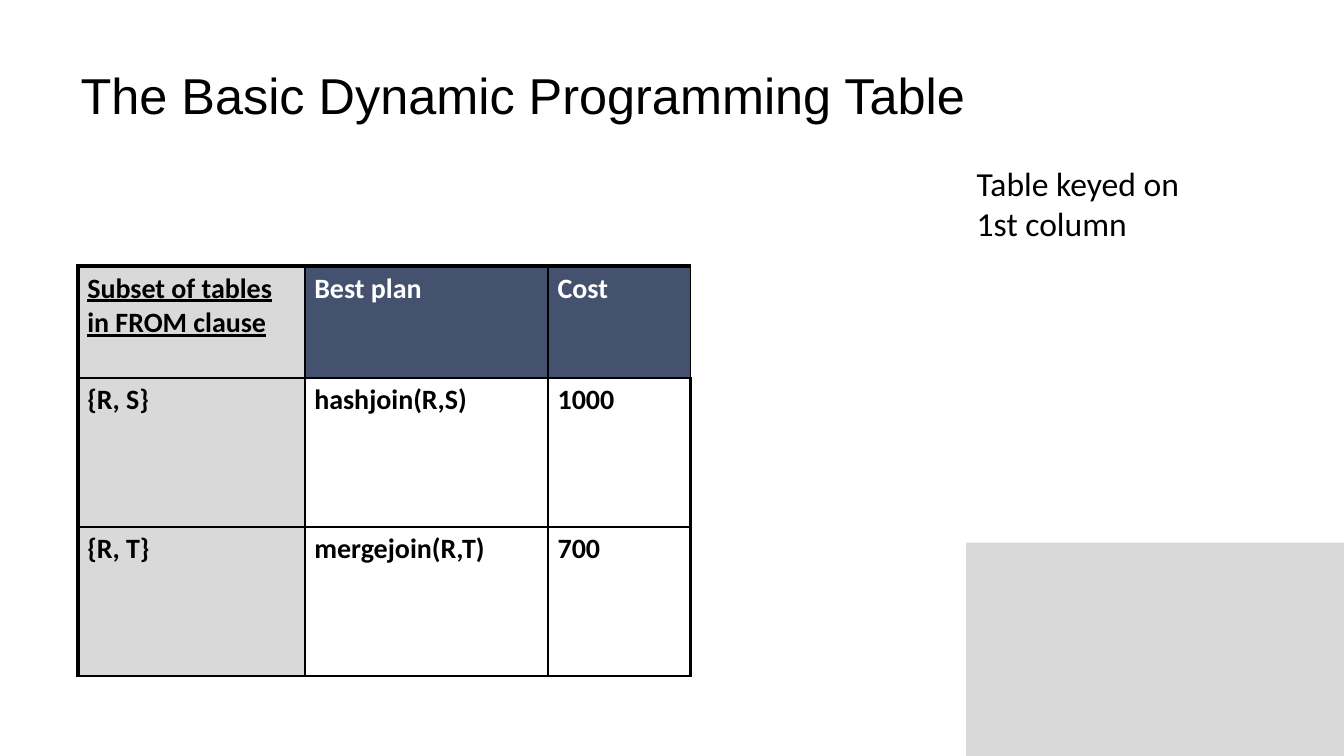
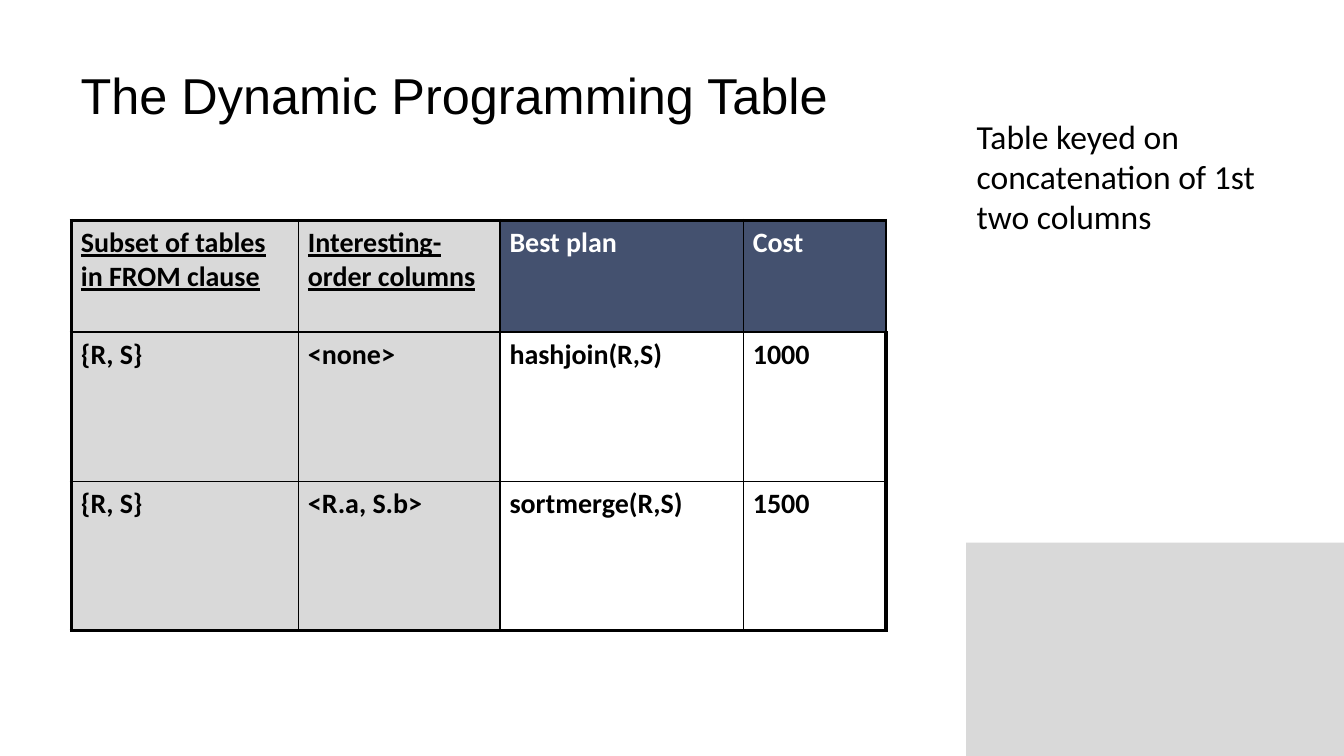
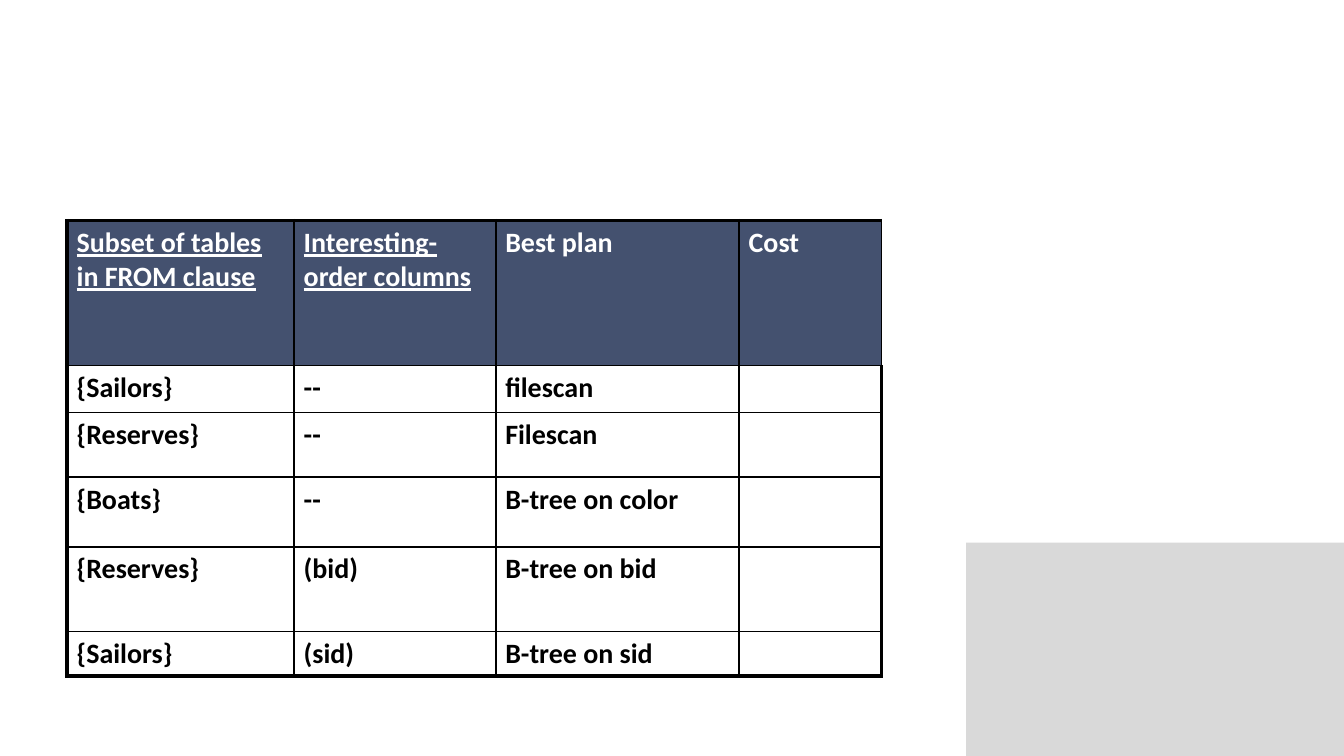
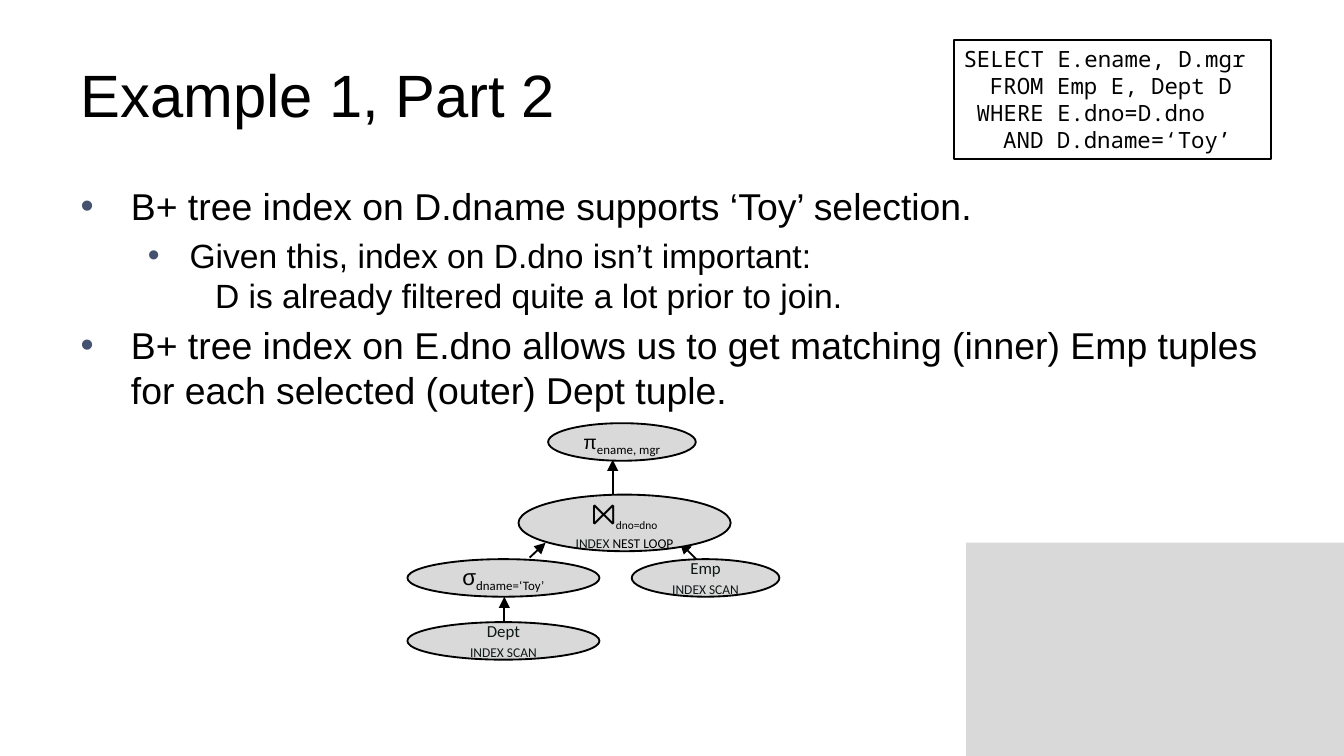
from copy import deepcopy
from lxml.etree import SubElement
from pptx import Presentation
from pptx.dml.color import RGBColor
from pptx.enum.shapes import MSO_CONNECTOR as Connector, MSO_SHAPE as Shape
from pptx.enum.text import MSO_ANCHOR as Anchor, MSO_AUTO_SIZE as AutoSize, PP_ALIGN as Align
from pptx.oxml.ns import qn
from pptx.util import Cm, Pt

# ---- Theme: colours, type, lines ----
BLACK, WHITE, GREY, NAVY, INK = "000000", "FFFFFF", "D9D9D9", "44516F", "0E1817"
THIN, THICK = 1, 2.25
THEME = {
    "title": {"name": "Arial", "size": 27, "color": BLACK},
    "big title": {"name": "Arial", "size": 32, "color": BLACK},
    "body": [{"name": "Arial", "size": 20, "color": BLACK},
             {"name": "Arial", "size": 18, "color": BLACK}],
    "note": {"name": "Calibri", "size": 18, "color": BLACK},
    "cell": {"name": "Calibri", "size": 15, "bold": True, "color": BLACK},
    "code": {"name": "Noto Sans Mono", "size": 12, "color": BLACK},
    "node": {"name": "Calibri", "size": 9, "color": INK},
    "caps": {"name": "Calibri", "size": 9, "color": INK, "cap": "small"},
    "sub": {"name": "Calibri", "size": 12, "color": BLACK, "baseline": "-25000"},
    "symbol": {"name": "Arial", "size": 12, "color": BLACK},
}
BULLET_INDENTS = [(0.95, -0.95), (2.06, -0.79)]
TIGHT = {"margin_left": 0.18, "margin_right": 0.18, "margin_top": 0.1, "margin_bottom": 0.1}

# ---- Layout, in centimetres ----
PAGE = (25.4, 14.29)
CORNER_BOX = (18.26, 10.26, 7.14, 4.03)
TITLE_BOX = (1.27, 0.58, 22.86, 2.39)
BODY_BOX = (1.27, 3.33, 22.86, 9.42)
CODE_BOX = (18.03, 0.76, 5.99, 2.24)
CODE_CHAR = 0.25
COLUMN_WIDTHS = {"Subset of tables in FROM clause": 4.29, "Interesting-order columns": 3.81,
                 "Best plan": 4.6, "Cost": 2.69}
SUBSET, ORDER, PLAN, COST = COLUMN_WIDTHS

# ---- Content ----
TABLE_PAGES = [
    {"title": "The Basic Dynamic Programming Table",
     "note": "Table keyed on\n1st column", "note box": (18.21, 2.95, 5.92, 1.8),
     "at": (1.47, 5.03), "heights": [2.11, 2.82, 2.82], "keys": 1, "shade keys": True,
     "bottom": THIN,
     "rows": [(SUBSET, PLAN, COST),
              ("{R, S}", "hashjoin(R,S)", "1000"),
              ("{R, T}", "mergejoin(R,T)", "700")]},
    {"title": "The Dynamic Programming Table",
     "note": "Table keyed on concatenation of 1st two columns",
     "note box": (18.21, 2.06, 5.92, 2.57),
     "at": (1.35, 4.17), "heights": [2.11, 2.82, 2.82], "keys": 2, "shade keys": True,
     "bottom": THICK,
     "rows": [(SUBSET, ORDER, PLAN, COST),
              ("{R, S}", "<none>", "hashjoin(R,S)", "1000"),
              ("{R, S}", "<R.a, S.b>", "sortmerge(R,S)", "1500")]},
    {"at": (1.27, 4.17), "heights": [2.74, 0.89, 1.22, 1.32, 1.6, 0.84], "keys": 2,
     "shade keys": False, "bottom": THICK,
     "rows": [(SUBSET, ORDER, PLAN, COST),
              ("{Sailors}", "--", "filescan", ""),
              ("{Reserves}", "--", "Filescan", ""),
              ("{Boats}", "--", "B-tree on color", ""),
              ("{Reserves}", "(bid)", "B-tree on bid", ""),
              ("{Sailors}", "(sid)", "B-tree on sid", "")]},
]
EXAMPLE_TITLE = "Example 1, Part 2"
BULLETS = [
    (0, "B+ tree index on D.dname supports ‘Toy’ selection."),
    (1, "Given this, index on D.dno isn’t important:\n"
        "\tD is already filtered quite a lot prior to join."),
    (0, "B+ tree index on E.dno allows us to get matching (inner) Emp tuples "
        "for each selected (outer) Dept tuple."),
]
QUERY = [(0, "SELECT E.ename, D.mgr"), (2, "FROM Emp E, Dept D"),
         (1, "WHERE E.dno=D.dno"), (3, "AND D.dname=‘Toy’")]
# Plan tree: box, then paragraphs of (text, style, changes)
NODES = [
    ((10.36, 8, 2.79, 0.71), [[("π", "symbol", {"size": 10.5}), ("ename, mgr", "sub", {})]]),
    ((11.94, 10.57, 2.79, 0.71), [[("Emp", "node", {})], [("index scan", "caps", {})]]),
    ((9.8, 9.35, 4.01, 1.07), [[("⨝", "symbol", {"size": 16}),
                                ("dno=dno\n", "sub", {"size": 10.5}),
                                ("index ", "caps", {}),
                                ("nest loop", "caps", {"color": BLACK})]]),
    ((7.7, 11.76, 3.63, 0.71), [[("Dept", "node", {})], [("index scan", "caps", {})]]),
    ((7.7, 10.57, 3.63, 0.71), [[("σ", "symbol", {}), ("dname=‘Toy’", "sub", {})]]),
]
ARROWS = [(11.58, 9.35, 11.58, 8.69), (13.16, 10.57, 12.85, 10.26),
          (10.01, 10.54, 10.31, 10.26), (9.53, 11.76, 9.53, 11.28)]


# ---- Text helpers ----
def style(font, look):
    for key, value in look.items():
        if key == "color":
            font.color.rgb = RGBColor.from_string(value)
        elif key in ("cap", "baseline"):
            font._element.set(key, value)
        else:
            setattr(font, key, Pt(value) if key == "size" else value)


def write(para, text, look):
    for number, line in enumerate(text.split("\n")):
        if number:
            para.add_line_break()
            para._p[-1].append(deepcopy(span._r.rPr))
        if line:
            span = para.add_run()
            span.text = line
            style(span.font, look)


def paragraphs(frame, items):
    for number, item in enumerate(items):
        yield (frame.add_paragraph() if number else frame.paragraphs[0]), item


def space_before(para, percent=20):
    para.space_before = Pt(1)
    space = para._p.pPr.find(qn("a:spcBef"))
    space.clear()
    SubElement(space, qn("a:spcPct"), val=str(percent * 1000))


def indent(para, left, first=0):
    props = para._p.get_or_add_pPr()
    props.set("marL", str(Cm(left)))
    props.set("indent", str(Cm(first)))


def bullet(para):
    props = para._p.get_or_add_pPr()
    SubElement(SubElement(props, qn("a:buClr")), qn("a:srgbClr"), val=NAVY)
    SubElement(props, qn("a:buFont"), typeface="Arial")
    SubElement(props, qn("a:buChar"), char="•")


def margins(target):
    for side, value in TIGHT.items():
        setattr(target, side, Cm(value))


# ---- Part helpers ----
def place(shape, box):
    for side, value in zip(("left", "top", "width", "height"), box):
        setattr(shape, side, Cm(value))


def add_box(page, kind, box, fill=None, line=None):
    shape = page.shapes.add_shape(kind, *map(Cm, box))
    shape.shadow.inherit = False
    if fill:
        shape.fill.solid()
        shape.fill.fore_color.rgb = RGBColor.from_string(fill)
    else:
        shape.fill.background()
    if line:
        shape.line.color.rgb = RGBColor.from_string(line)
        shape.line.width = Pt(THIN)
    else:
        shape.line.fill.background()
    margins(shape.text_frame)
    return shape


def add_title(page, text, look):
    title = page.shapes.title
    place(title, TITLE_BOX)
    frame = title.text_frame
    frame.auto_size, frame.vertical_anchor = AutoSize.NONE, Anchor.MIDDLE
    frame.paragraphs[0].alignment = Align.LEFT
    write(frame.paragraphs[0], text, THEME[look])


def add_arrow(page, ends):
    arrow = page.shapes.add_connector(Connector.STRAIGHT, *map(Cm, ends))
    arrow.line.color.rgb = RGBColor.from_string(BLACK)
    arrow.line.width = Pt(THIN)
    SubElement(arrow.line._get_or_add_ln(), qn("a:tailEnd"), type="triangle")
    SubElement(arrow._element.spPr, qn("a:effectLst"))


def set_borders(cell, widths):
    props = cell._tc.get_or_add_tcPr()
    for number, (side, width) in enumerate(widths.items()):
        line = SubElement(props, qn("a:ln" + side), w=str(Pt(width)))
        SubElement(SubElement(line, qn("a:solidFill")), qn("a:srgbClr"), val=BLACK)
        props.insert(number, line)


def add_plan_table(page, data):
    rows, heights = data["rows"], data["heights"]
    widths = [COLUMN_WIDTHS[name] for name in rows[0]]
    size = (sum(widths), sum(heights))
    table = page.shapes.add_table(len(rows), len(widths), *map(Cm, data["at"] + size)).table
    table.first_row = table.horz_banding = False
    for column, width in zip(table.columns, widths):
        column.width = Cm(width)
    for row, height in zip(table.rows, heights):
        row.height = Cm(height)
    for r, row in enumerate(rows):
        for c, text in enumerate(row):
            cell, header, key = table.cell(r, c), r == 0, c < data["keys"]
            fill = GREY if key and data["shade keys"] else NAVY if header else None
            if fill:
                cell.fill.solid()
                cell.fill.fore_color.rgb = RGBColor.from_string(fill)
            else:
                cell.fill.background()
            set_borders(cell, {
                "L": THICK if c == 0 else THIN,
                "R": THICK if c == len(row) - 1 and not header else THIN,
                "T": THICK if header else THIN,
                "B": data["bottom"] if r == len(rows) - 1 else THIN})
            margins(cell)
            para = cell.text_frame.paragraphs[0]
            space_before(para)
            write(para, text, THEME["cell"] | {"color": WHITE if fill == NAVY else BLACK,
                                               "underline": header and key})
            if not text:
                SubElement(para._p, qn("a:endParaRPr"), sz=str(THEME["cell"]["size"] * 100))


# ---- Build ----
deck = Presentation()
deck.slide_width, deck.slide_height = map(Cm, PAGE)
CONTENT_LAYOUT, TITLE_LAYOUT, BLANK_LAYOUT = (deck.slide_layouts[i] for i in (1, 5, 6))

# Pages with a plan table
for data in TABLE_PAGES:
    page = deck.slides.add_slide(TITLE_LAYOUT if "title" in data else BLANK_LAYOUT)
    if "title" in data:
        add_title(page, data["title"], "title")
    add_plan_table(page, data)
    if "note" in data:
        note = page.shapes.add_textbox(*map(Cm, data["note box"])).text_frame
        note.word_wrap = True
        write(note.paragraphs[0], data["note"], THEME["note"])

# Example page: bullets
page = deck.slides.add_slide(CONTENT_LAYOUT)
add_title(page, EXAMPLE_TITLE, "big title")
body = page.placeholders[1]
place(body, BODY_BOX)
body.text_frame.auto_size = AutoSize.NONE
for para, (level, text) in paragraphs(body.text_frame, BULLETS):
    para.level = level
    indent(para, *BULLET_INDENTS[level])
    space_before(para)
    bullet(para)
    write(para, text, THEME["body"][level])

# Example page: query
frame = add_box(page, Shape.RECTANGLE, CODE_BOX, line=BLACK).text_frame
frame.vertical_anchor = Anchor.TOP
for para, (characters, text) in paragraphs(frame, QUERY):
    para.alignment = Align.LEFT
    indent(para, characters * CODE_CHAR)
    write(para, text, THEME["code"])

# Example page: plan tree
for ends in ARROWS:
    add_arrow(page, ends)
for box, lines in NODES:
    frame = add_box(page, Shape.OVAL, box, GREY, BLACK).text_frame
    frame.vertical_anchor = Anchor.MIDDLE
    for para, spans in paragraphs(frame, lines):
        para.alignment = Align.CENTER
        for text, look, changes in spans:
            write(para, text, THEME[look] | changes)

# Corner block, shared through the master
corner = add_box(page, Shape.RECTANGLE, CORNER_BOX, GREY)
deck.slide_master.shapes.element.append(corner._element)

deck.save("out.pptx")
